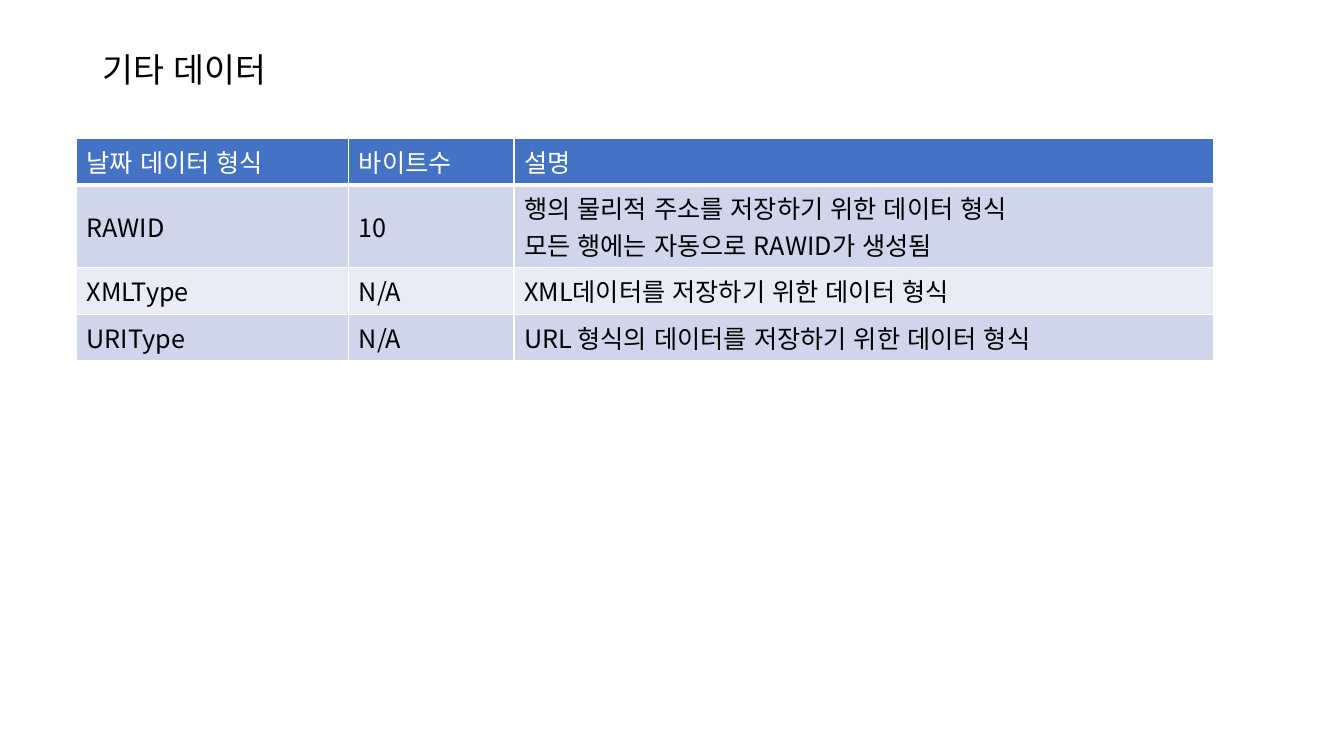
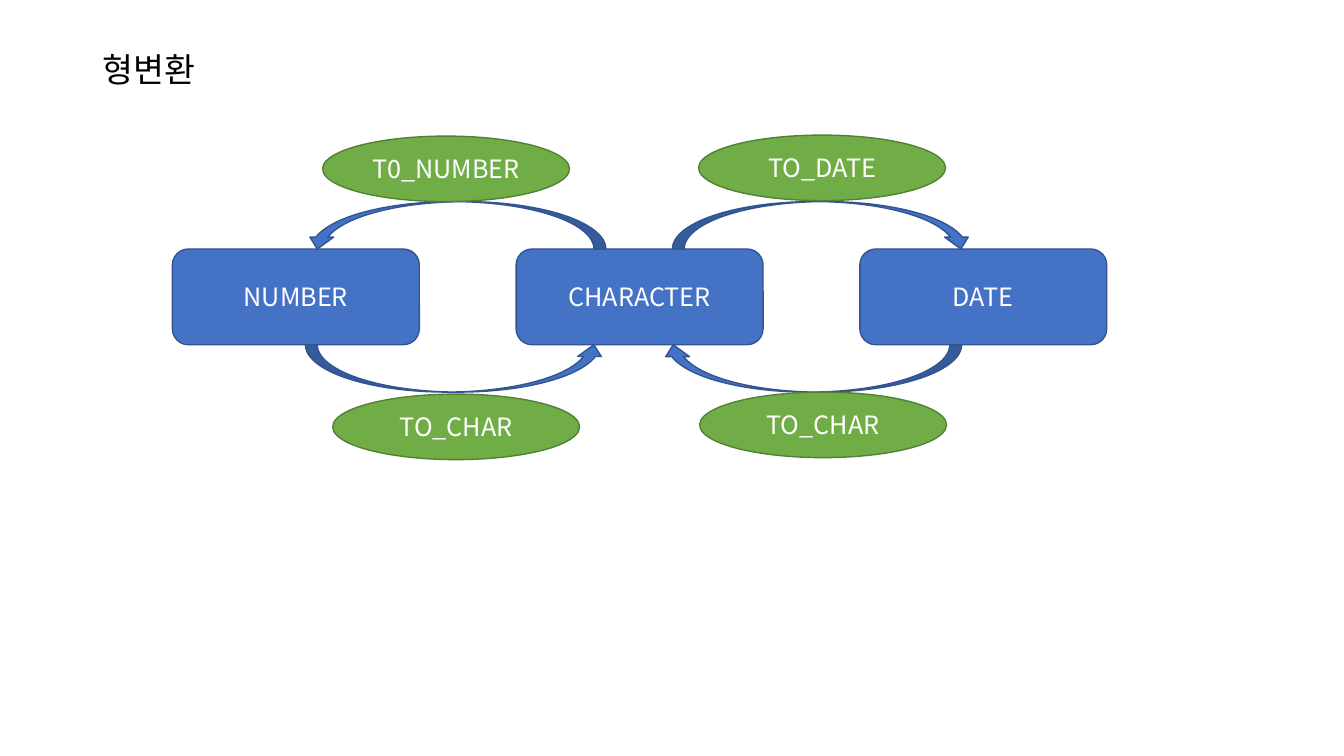
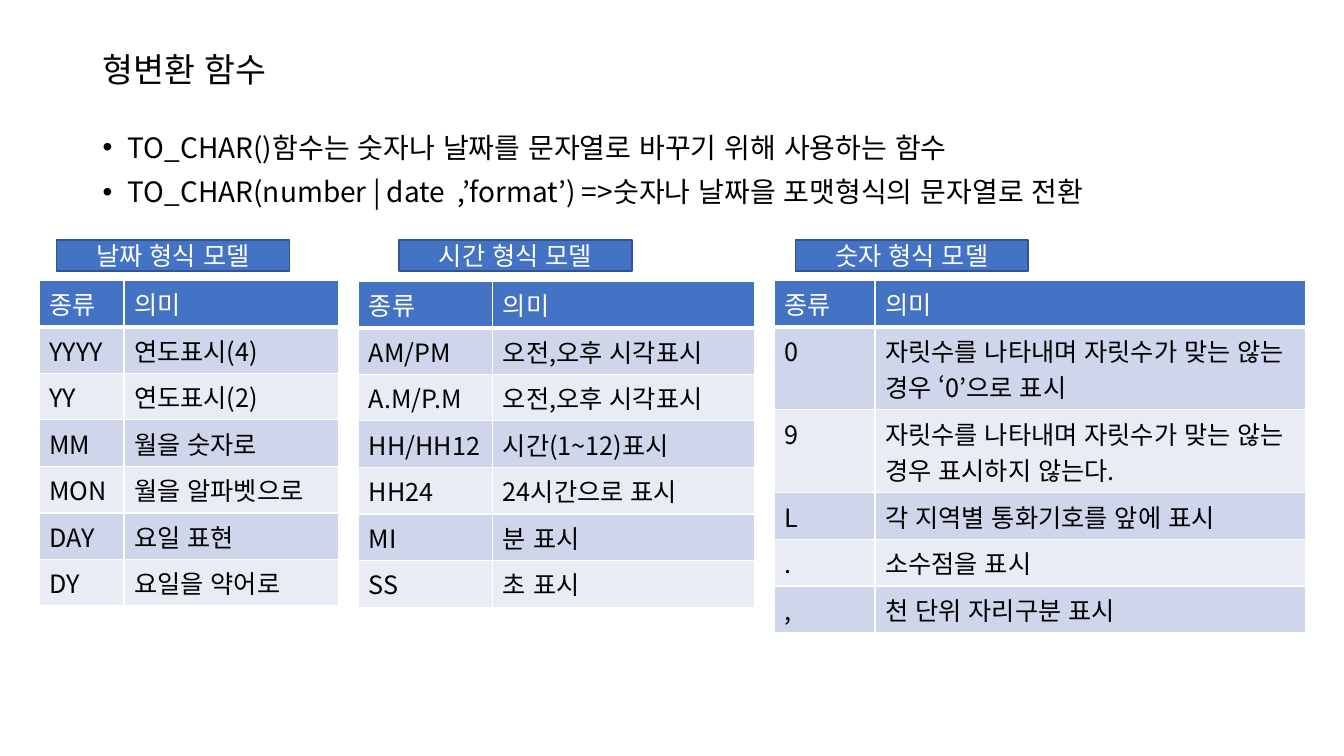
from dataclasses import dataclass
from typing import Any

from lxml.etree import SubElement
from pptx import Presentation
from pptx.dml.color import RGBColor
from pptx.dml.fill import FillFormat
from pptx.enum.lang import MSO_LANGUAGE_ID
from pptx.enum.shapes import MSO_SHAPE
from pptx.enum.text import MSO_ANCHOR, PP_ALIGN
from pptx.oxml.ns import qn
from pptx.slide import Slide
from pptx.table import _Cell
from pptx.text.text import TextFrame, _Paragraph
from pptx.util import Emu, Inches, Pt

GRID_UNIT = 0.1
COLUMNS, ROWS = 133.33, 75
FONT = "Noto Sans CJK KR"
BLACK, WHITE = "000000", "FFFFFF"
BLUE, BLUE_EDGE = "4472C4", "325491"
GREEN, GREEN_EDGE = "70AD47", "538035"
BANDS = ("CFD5EA", "E9EBF5")
ROW_HEIGHT, TALL_ROW_HEIGHT = 4.62, 8.24
TITLE_FORMAT = {"line_spacing": 0.9}
BULLET_FORMAT = {"line_spacing": 0.9, "space_before": Pt(10)}
CENTRED = {"alignment": PP_ALIGN.CENTER}


@dataclass(frozen=True)
class Area:
    column: float
    row: float
    width: float
    height: float

    def lengths(self) -> tuple[Emu, ...]:
        return tuple(grid(value) for value in (self.column, self.row, self.width, self.height))


@dataclass(frozen=True)
class Block:
    area: Area
    preset: MSO_SHAPE
    text: str = ""
    fill: str = BLUE
    edge: str = BLUE_EDGE
    rotation: float = 0


@dataclass(frozen=True)
class Grid:
    column: float
    row: float
    widths: tuple[float, ...]
    cells: tuple[tuple[str, ...], ...]
    anchor: MSO_ANCHOR = MSO_ANCHOR.TOP
    tall_rows: tuple[int, ...] = ()

    def heights(self) -> list[float]:
        return [TALL_ROW_HEIGHT if number in self.tall_rows else ROW_HEIGHT
                for number in range(len(self.cells))]


@dataclass(frozen=True)
class Model:
    label: str
    label_column: float
    grid: Grid


def grid(units: float) -> Emu:
    return Inches(units * GRID_UNIT)


def apply(target: Any, values: dict[str, Any]) -> None:
    for name, value in values.items():
        setattr(target, name, value)


def paint(fill: FillFormat, colour: str) -> None:
    fill.solid()
    fill.fore_color.rgb = RGBColor.from_string(colour)


def write(frame: TextFrame, text: str, size: float, colour: str,
          paragraph_format: dict[str, Any] | None = None) -> list[_Paragraph]:
    font_format = {"name": FONT, "size": Pt(size), "bold": False,
                   "language_id": MSO_LANGUAGE_ID.KOREAN}
    frame.word_wrap = True
    for number, line in enumerate(text.split("\n")):
        paragraph = frame.paragraphs[0] if number == 0 else frame.add_paragraph()
        apply(paragraph, paragraph_format or {})
        run = paragraph.add_run()
        run.text = line
        apply(run.font, font_format)
        paint(run.font.fill, colour)
        SubElement(run.font._element, qn("a:ea"), typeface=FONT)
    return list(frame.paragraphs)


def add_title(slide: Slide, text: str) -> None:
    frame = slide.shapes.add_textbox(*Area(9.2, 4, 37.9, 6.2).lengths()).text_frame
    frame.vertical_anchor = MSO_ANCHOR.MIDDLE
    write(frame, text, 24, BLACK, TITLE_FORMAT)


def add_bullets(slide: Slide, area: Area, text: str) -> None:
    frame = slide.shapes.add_textbox(*area.lengths()).text_frame
    for paragraph in write(frame, text, 20, BLACK, BULLET_FORMAT):
        properties = paragraph._p.get_or_add_pPr()
        properties.set("marL", str(Inches(0.25)))
        properties.set("indent", str(-Inches(0.25)))
        SubElement(properties, qn("a:buFont"), typeface="Arial")
        SubElement(properties, qn("a:buChar"), char="•")


def add_block(slide: Slide, block: Block) -> None:
    shape = slide.shapes.add_shape(block.preset, *block.area.lengths())
    shape.rotation = block.rotation
    shape.shadow.inherit = False
    paint(shape.fill, block.fill)
    paint(shape.line.fill, block.edge)
    shape.line.width = Pt(1)
    if block.text:
        shape.text_frame.vertical_anchor = MSO_ANCHOR.MIDDLE
        write(shape.text_frame, block.text, 18, WHITE, CENTRED)


def add_borders(cell: _Cell, bottom: float) -> None:
    properties = cell._tc.get_or_add_tcPr()
    for side, width in {"L": 1, "R": 1, "T": 1, "B": bottom}.items():
        line = SubElement(properties, qn(f"a:ln{side}"), w=str(Pt(width)))
        fill = SubElement(line, qn("a:solidFill"))
        SubElement(fill, qn("a:srgbClr"), val=WHITE)


def add_grid(slide: Slide, content: Grid) -> None:
    heights = content.heights()
    area = Area(content.column, content.row, sum(content.widths), sum(heights))
    table = slide.shapes.add_table(len(heights), len(content.widths), *area.lengths()).table
    apply(table, {"first_row": False, "horz_banding": False})
    for column, width in zip(table.columns, content.widths):
        column.width = grid(width)
    for row, height in zip(table.rows, heights):
        row.height = grid(height)
    for row_number, texts in enumerate(content.cells):
        header = row_number == 0
        for column_number, text in enumerate(texts):
            cell = table.cell(row_number, column_number)
            cell.vertical_anchor = content.anchor
            add_borders(cell, 3 if header else 1)
            paint(cell.fill, BLUE if header else BANDS[(row_number - 1) % 2])
            write(cell.text_frame, text, 18, WHITE if header else BLACK)


OTHER_TYPES = Grid(7.6, 13.7, (27, 16.4, 69.4), (
    ("날짜 데이터 형식", "바이트수", "설명"),
    ("RAWID", "10", "행의 물리적 주소를 저장하기 위한 데이터 형식\n모든 행에는 자동으로 RAWID가 생성됨"),
    ("XMLType", "N/A", "XML데이터를 저장하기 위한 데이터 형식"),
    ("URIType", "N/A", "URL 형식의 데이터를 저장하기 위한 데이터 형식"),
), MSO_ANCHOR.MIDDLE, tall_rows=(1,))

DATA_TYPES = [
    Block(Area(17.1 + 34.1 * number, 24.7, 24.5, 9.5), MSO_SHAPE.ROUNDED_RECTANGLE, name)
    for number, name in enumerate(("NUMBER", "CHARACTER", "DATE"))
]
ARROWS = [
    Block(Area(column, row, 29.8, 4.7), preset, rotation=rotation)
    for column, row, preset, rotation in (
        (66.7, 20, MSO_SHAPE.CURVED_DOWN_ARROW, 0),
        (65.6, 34.2, MSO_SHAPE.CURVED_DOWN_ARROW, 180),
        (30.3, 34.2, MSO_SHAPE.CURVED_UP_ARROW, 0),
        (30.3, 20, MSO_SHAPE.CURVED_UP_ARROW, 180),
    )
]
FUNCTIONS = [
    Block(Area(column, row, 24.5, 6.5), MSO_SHAPE.OVAL, name, GREEN, GREEN_EDGE)
    for column, row, name in (
        (32, 13.5, "T0_NUMBER"),
        (69.3, 13.4, "TO_DATE"),
        (69.4, 38.9, "TO_CHAR"),
        (33, 39.1, "TO_CHAR"),
    )
]

HEADER = ("종류", "의미")
MODELS = (
    Model("날짜 형식 모델", 5.6, Grid(3.9, 27.8, (8.4, 21.3), (
        HEADER,
        ("YYYY", "연도표시(4)"),
        ("YY", "연도표시(2)"),
        ("MM", "월을 숫자로"),
        ("MON", "월을 알파벳으로"),
        ("DAY", "요일 표현"),
        ("DY", "요일을 약어로"),
    ))),
    Model("시간 형식 모델", 39.6, Grid(35.6, 27.9, (13.3, 26), (
        HEADER,
        ("AM/PM", "오전,오후 시각표시"),
        ("A.M/P.M", "오전,오후 시각표시"),
        ("HH/HH12", "시간(1~12)표시"),
        ("HH24", "24시간으로 표시"),
        ("MI", "분 표시"),
        ("SS", "초 표시"),
    ))),
    Model("숫자 형식 모델", 78.9, Grid(76.8, 27.8, (10, 42.7), (
        HEADER,
        ("0", "자릿수를 나타내며 자릿수가 맞는 않는 경우 ‘0’으로 표시"),
        ("9", "자릿수를 나타내며 자릿수가 맞는 않는 경우 표시하지 않는다."),
        ("L", "각 지역별 통화기호를 앞에 표시"),
        (".", "소수점을 표시"),
        (",", "천 단위 자리구분 표시"),
    ), tall_rows=(1, 2))),
)
TO_CHAR_NOTES = (
    "TO_CHAR()함수는 숫자나 날짜를 문자열로 바꾸기 위해 사용하는 함수\n"
    "TO_CHAR(number | date  ,’format’) =>숫자나 날짜을 포맷형식의 문자열로 전환"
)


def draw_other_types(slide: Slide) -> None:
    add_grid(slide, OTHER_TYPES)


def draw_conversions(slide: Slide) -> None:
    for block in DATA_TYPES + ARROWS + FUNCTIONS:
        add_block(slide, block)


def draw_conversion_functions(slide: Slide) -> None:
    add_bullets(slide, Area(9.2, 12.8, 115, 47.6), TO_CHAR_NOTES)
    for model in MODELS:
        add_grid(slide, model.grid)
        label_area = Area(model.label_column, 23.8, 23.1, 3.1)
        add_block(slide, Block(label_area, MSO_SHAPE.RECTANGLE, model.label))


presentation = Presentation()
apply(presentation, {"slide_width": grid(COLUMNS), "slide_height": grid(ROWS)})
for title, draw in (
    ("기타 데이터", draw_other_types),
    ("형변환", draw_conversions),
    ("형변환 함수", draw_conversion_functions),
):
    new_slide = presentation.slides.add_slide(presentation.slide_layouts[6])
    add_title(new_slide, title)
    draw(new_slide)
presentation.save("out.pptx")
